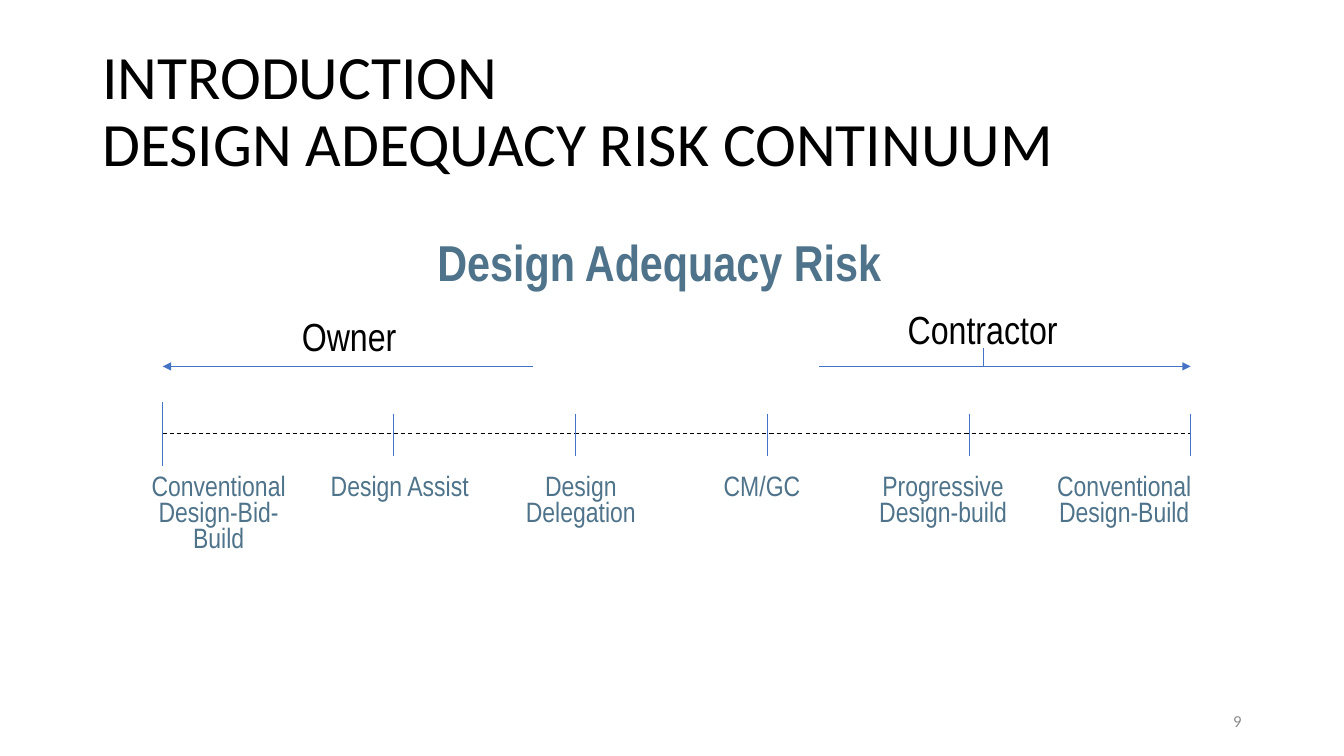
"""Build the design adequacy risk continuum slide."""
from lxml.etree import SubElement
from pptx import Presentation
from pptx.dml.color import RGBColor
from pptx.enum.dml import MSO_LINE
from pptx.enum.shapes import MSO_CONNECTOR
from pptx.enum.text import MSO_ANCHOR, MSO_AUTO_SIZE, PP_ALIGN
from pptx.oxml.ns import qn
from pptx.util import Emu, Pt

PX = 9525
COLORS = {"black": "000000", "slate": "4E738A", "blue": "4472C4", "gray": "8C8C8C"}


class Deck:
    def __init__(self, width, height):
        self.prs = Presentation()
        self.prs.slide_width, self.prs.slide_height = self.px(width, height)
        self.slide = self.prs.slides.add_slide(self.prs.slide_layouts[6])

    def px(self, *values):
        return [Emu(v * PX) for v in values]

    def color(self, name):
        return RGBColor.from_string(COLORS[name])

    def fill_text(self, tf, lines, size, color, font="Arial Narrow", bold=False, **para):
        style = {"name": font, "size": Pt(size), "bold": bold}
        for i, line in enumerate(lines):
            p = tf.paragraphs[0] if i == 0 else tf.add_paragraph()
            for key, value in para.items():
                setattr(p, key, value)
            r = p.add_run()
            r.text = line
            for key, value in style.items():
                setattr(r.font, key, value)
            r.font.color.rgb = self.color(color)

    def text(self, box, lines, size, color, frame=None, **style):
        tf = self.slide.shapes.add_textbox(*self.px(*box)).text_frame
        for key, value in {"word_wrap": True, **(frame or {})}.items():
            setattr(tf, key, value)
        self.fill_text(tf, lines, size, color, **style)

    def line(self, start, end, color="blue", width=0.5, dash=None, arrow=False):
        cx = self.slide.shapes.add_connector(
            MSO_CONNECTOR.STRAIGHT, *self.px(*start, *end))
        cx.line.color.rgb = self.color(color)
        cx.line.width = Pt(width)
        if dash:
            cx.line.dash_style = dash
        sp_pr = cx._element.spPr
        if arrow:
            SubElement(sp_pr.find(qn("a:ln")), qn("a:tailEnd"), type="triangle")
        SubElement(sp_pr, qn("a:effectLst"))

    def table(self, box, labels, size, color):
        table = self.slide.shapes.add_table(1, len(labels), *self.px(*box)).table
        table.first_row = table.horz_banding = False
        margins = dict(zip(("margin_left", "margin_top", "margin_right", "margin_bottom"),
                           self.px(7, 4, 7, 4)))
        for cell, lines in zip(table.rows[0].cells, labels):
            cell.fill.background()
            for key, value in margins.items():
                setattr(cell, key, value)
            self.fill_text(cell.text_frame, lines, size, color, alignment=PP_ALIGN.CENTER)


def main():
    deck = Deck(1280, 720)
    middle = {"vertical_anchor": MSO_ANCHOR.MIDDLE}
    grow = {"auto_size": MSO_AUTO_SIZE.SHAPE_TO_FIT_TEXT}
    left, right, arrow_y, axis_y = 155, 1134, 349, 413

    deck.text((88, 38, 1104, 139), ["INTRODUCTION", "DESIGN ADEQUACY RISK CONTINUUM"],
              44, "black", middle, font="Calibri", line_spacing=0.9)
    deck.text((904, 667, 288, 38), ["9"], 12, "gray", middle,
              font="Calibri", alignment=PP_ALIGN.RIGHT)
    deck.text((340, 215, 576, 68), ["Design Adequacy Risk"], 36, "slate", grow,
              bold=True, alignment=PP_ALIGN.CENTER)
    deck.text((278, 293, 147, 55), ["Owner"], 28, "black", grow)

    for start, end in ((508, left), (780, right)):
        deck.line((start, arrow_y), (end, arrow_y), arrow=True)

    deck.table((122, 449, 1035, 100), [
        ["Conventional", "Design-Bid-Build"], ["Design Assist"], ["Design Delegation"],
        ["CM/GC"], ["Progressive", "Design-build"], ["Conventional", "Design-Build"],
    ], 20, "slate")

    deck.line((left, axis_y), (right, axis_y), "black", 0.75, MSO_LINE.DASH)
    deck.line((left, 383), (left, 444))
    for x in (375, 548, 731, 923, right):
        deck.line((x, 394), (x, 434))

    deck.line((937, arrow_y), (937, 331))
    deck.text((855, 286, 163, 55), ["Contractor"], 28, "black",
              {**grow, "word_wrap": False})
    deck.prs.save("out.pptx")


if __name__ == "__main__":
    main()
